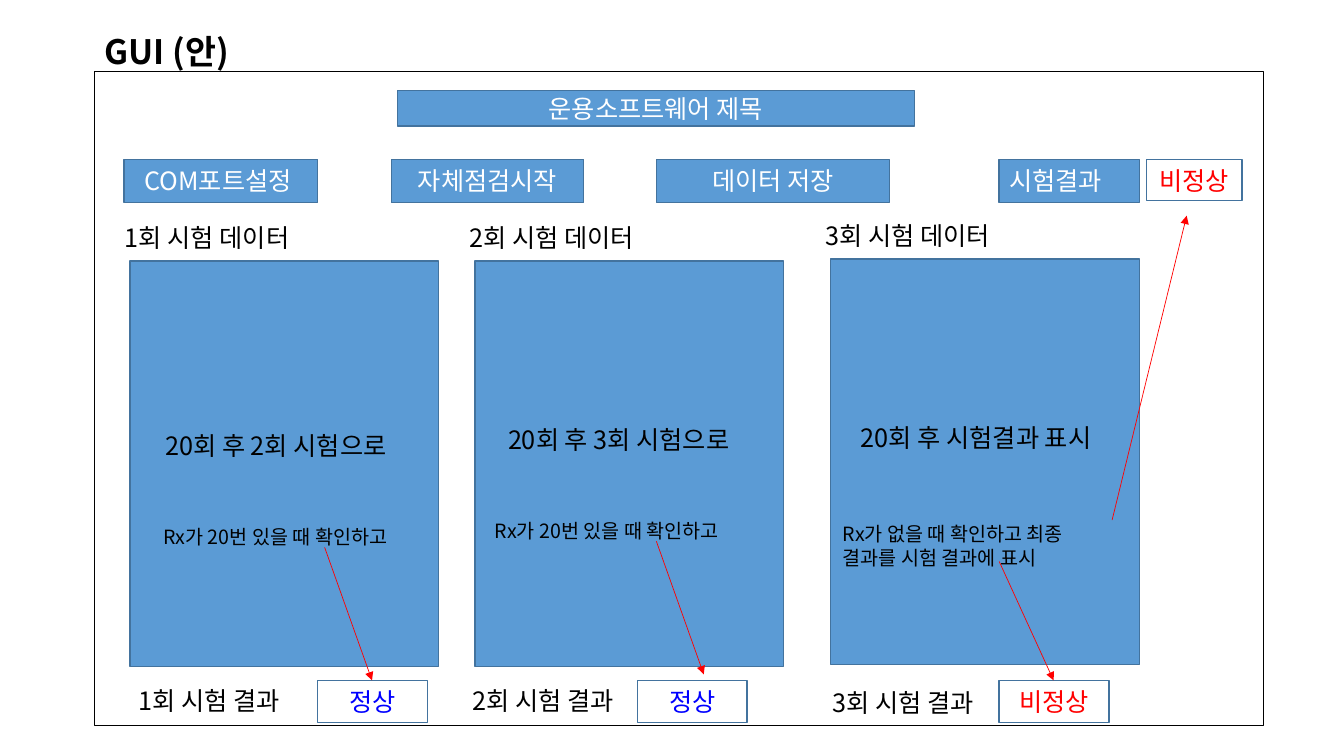
from dataclasses import dataclass
from lxml.etree import SubElement as Sub
from pptx import Presentation
from pptx.dml.color import RGBColor as Rgb
from pptx.enum.shapes import MSO_CONNECTOR as Link, MSO_SHAPE as Form
from pptx.enum.text import MSO_ANCHOR as Anchor, PP_ALIGN as Align
from pptx.oxml.ns import qn
from pptx.util import Inches, Pt


@dataclass(frozen=True)
class Theme:
    """Colours, type sizes and line widths of the slide."""
    font: str = "Noto Sans CJK KR"
    blue: str = "5B9BD5"
    edge: str = "43739E"
    black: str = "000000"
    white: str = "FFFFFF"
    good: str = "0000FF"
    bad: str = "FF0000"
    title: int = 24
    body: int = 18
    note: int = 14
    rule: float = 1
    thin: float = 0.5


T = Theme()


def write(shape, text, size=T.body, color=T.black, bold=False, align=Align.LEFT):
    """Put one formatted paragraph into a shape."""
    frame = shape.text_frame
    frame.word_wrap = True
    para = frame.paragraphs[0]
    para.alignment = align
    run = para.add_run()
    run.text = text
    font = run.font
    font.size, font.bold, font.name = Pt(size), bold, T.font
    font.color.rgb = Rgb.from_string(color)
    Sub(run._r.get_or_add_rPr(), qn("a:ea"), typeface=T.font)


def label(slide, x, y, wide, text, high=0.4, **look):
    """Add a plain text box."""
    box = slide.shapes.add_textbox(*map(Inches, (x, y, wide, high)))
    write(box, text, **look)


def block(slide, x, y, wide, high, text="", fill=T.blue, edge=T.edge, **look):
    """Add an outlined rectangle, with centred text if given."""
    box = slide.shapes.add_shape(Form.RECTANGLE, *map(Inches, (x, y, wide, high)))
    box.shadow.inherit = False
    if fill:
        box.fill.solid()
        box.fill.fore_color.rgb = Rgb.from_string(fill)
    else:
        box.fill.background()
    box.line.color.rgb = Rgb.from_string(edge)
    box.line.width = Pt(T.rule)
    if text:
        box.text_frame.vertical_anchor = Anchor.MIDDLE
        write(box, text, **{"color": T.white, "align": Align.CENTER, **look})


def arrow(slide, x, y, right, down):
    """Add a thin red arrow that runs by the given offset."""
    ends = map(Inches, (x, y, x + right, y + down))
    line = slide.shapes.add_connector(Link.STRAIGHT, *ends)
    line.line.color.rgb = Rgb.from_string(T.bad)
    line.line.width = Pt(T.thin)
    Sub(line.line._get_or_add_ln(), qn("a:tailEnd"), type="triangle")
    Sub(line._element.spPr, qn("a:effectLst"))


def header(slide, x, y):
    """Place the heading bar, the buttons and the final status."""
    block(slide, x + 3, y + 0.19, 5.13, 0.35, "운용소프트웨어 제목")
    keys = [(0.29, 1.92, "COM포트설정 ", Align.CENTER),
            (2.94, 1.91, "자체점검시작", Align.CENTER),
            (5.57, 2.31, "데이터 저장", Align.CENTER),
            (8.97, 1.39, "시험결과", Align.LEFT)]
    for left, wide, text, align in keys:
        block(slide, x + left, y + 0.87, wide, 0.43, text, align=align)
    block(slide, x + 10.43, y + 0.87, 0.95, 0.41, "비정상", fill=None, color=T.bad)


def panel(slide, x, y, count, step, check, state, color, spots):
    """Place one test run: data panel, notes, result and arrow."""
    goal, memo, end, mark, tip = spots
    block(slide, x, y, 3.06, 4.02)
    label(slide, x - 0.15, y - 0.43, 3.21, f"{count}회 시험 데이터")
    label(slide, x + goal[0], y + goal[1], 3.21, step)
    label(slide, x + memo[0], y + memo[1], memo[2], check, size=T.note)
    label(slide, x + end[0], y + end[1], 3.21, f"{count}회 시험 결과")
    block(slide, x + mark, 6.75, 1.09, 0.42, state, fill=None, color=color)
    arrow(slide, x + tip[0], y + tip[1], tip[2], tip[3])


def screen(slide, x, y, wide, high):
    """Place the whole window sketch with its title."""
    block(slide, x, y, wide, high, fill=None, edge=T.black)
    header(slide, x, y)
    check = "Rx가 20번 있을 때 확인하고"
    final = "Rx가 없을 때 확인하고 최종 결과를 시험 결과에 표시"
    runs = [
        (0.35, 1.88, "20회 후 2회 시험으로", check, "정상", T.good,
         ((0.25, 1.63), (0.23, 2.57, 3.21), (-0.01, 4.16), 1.86,
          (1.93, 2.84, 0.47, 1.32))),
        (3.77, 1.88, "20회 후 3회 시험으로", check, "정상", T.good,
         ((0.23, 1.57), (0.1, 2.51, 3.21), (-0.12, 4.16), 1.61,
          (1.8, 2.78, 0.47, 1.32))),
        (7.3, 1.86, "20회 후 시험결과 표시", final, "비정상", T.bad,
         ((0.2, 1.57), (0.02, 2.56, 2.92), (-0.08, 4.2), 1.67,
          (1.67, 3, 0.54, 1.18))),
    ]
    for count, (left, top, *rest) in enumerate(runs, 1):
        panel(slide, x + left, y + top, count, *rest)
    arrow(slide, x + 10.09, y + 4.45, 0.74, -3.02)
    label(slide, x, y - 0.45, 3.21, "GUI (안)", high=0.5, size=T.title, bold=True)


def main():
    """Build and save the slide."""
    deck = Presentation()
    deck.slide_width, deck.slide_height = Inches(13.33), Inches(7.5)
    slide = deck.slides.add_slide(deck.slide_layouts[6])
    screen(slide, 0.94, 0.71, 11.59, 6.49)
    deck.save("out.pptx")


if __name__ == "__main__":
    main()
